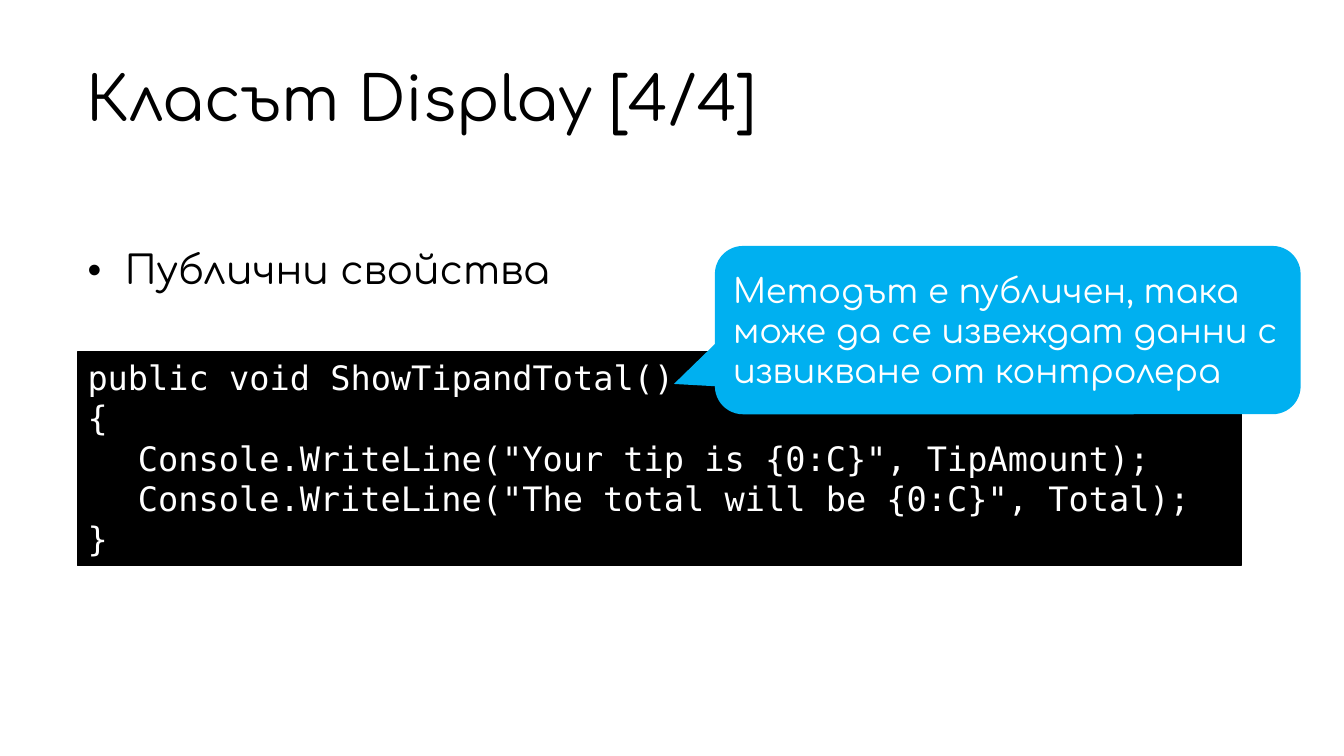
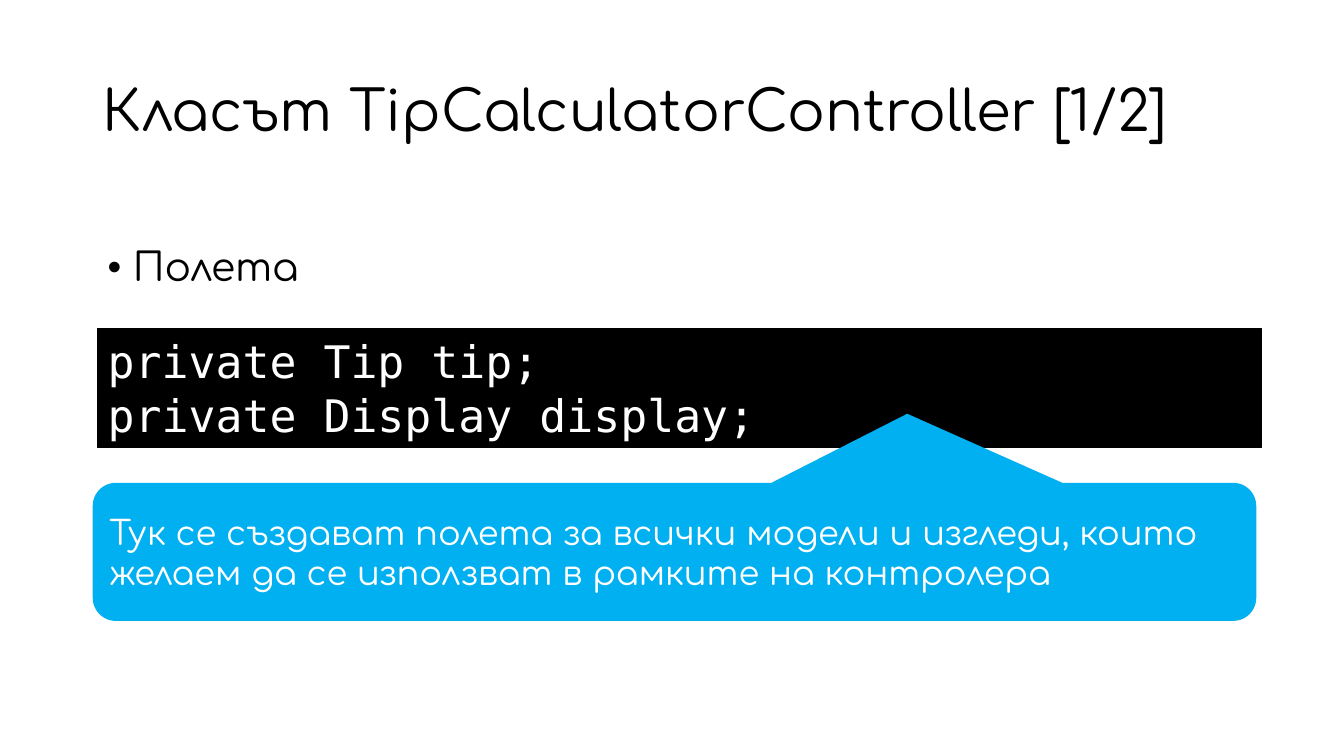
from pptx import Presentation
from pptx.dml.color import RGBColor
from pptx.enum.shapes import MSO_SHAPE
from pptx.enum.text import MSO_ANCHOR, PP_ALIGN
from pptx.oxml.ns import qn
from pptx.util import Inches, Pt
from lxml import etree

BLACK, WHITE, CALLOUT_BLUE = "000000", "FFFFFF", "00B0F0"
TEXT_FONT, CODE_FONT = "Comfortaa", "DejaVu Sans Mono"
CODE_TAB = 0.5


def rgb(value):
    return RGBColor.from_string(value)


def set_font(paragraph, size, color, name=TEXT_FONT):
    font = paragraph.font
    font.name, font.size = name, Pt(size)
    font.color.rgb = rgb(color)


def add_text(slide, text, box, size, anchor):
    frame = slide.shapes.add_textbox(*map(Inches, box)).text_frame
    frame.word_wrap = True
    frame.vertical_anchor = anchor
    paragraph = frame.paragraphs[0]
    paragraph.text = text
    paragraph.line_spacing = 0.9
    return paragraph


def add_title(slide, text, box, size):
    set_font(add_text(slide, text, box, size, MSO_ANCHOR.MIDDLE), size, BLACK)


def add_bullet(slide, text, box, indent):
    size = 28
    paragraph = add_text(slide, text, box, size, MSO_ANCHOR.TOP)
    properties = paragraph._p.get_or_add_pPr()
    properties.set("marL", str(Inches(indent)))
    properties.set("indent", str(-Inches(indent)))
    etree.SubElement(properties, qn("a:buFont")).set("typeface", "Arial")
    etree.SubElement(properties, qn("a:buChar")).set("char", "•")
    set_font(paragraph, size, BLACK)


def add_panel(slide, preset, box, fill, anchor):
    """Add a filled shape without outline or shadow, ready for wrapped text."""
    panel = slide.shapes.add_shape(preset, *map(Inches, box))
    panel.shadow.inherit = False
    panel.fill.solid()
    panel.fill.fore_color.rgb = rgb(fill)
    panel.line.fill.background()
    panel.text_frame.word_wrap = True
    panel.text_frame.vertical_anchor = anchor
    return panel


def add_code(slide, lines, box, size):
    panel = add_panel(slide, MSO_SHAPE.RECTANGLE, box, BLACK, MSO_ANCHOR.TOP)
    panel.line.color.rgb = rgb(BLACK)
    panel.line.width = Pt(1)
    frame = panel.text_frame
    frame.text = "\n".join(lines)
    for paragraph in frame.paragraphs:
        paragraph.alignment = PP_ALIGN.LEFT
        tabs = etree.SubElement(paragraph._p.get_or_add_pPr(), qn("a:tabLst"))
        etree.SubElement(tabs, qn("a:tab"), pos=str(Inches(CODE_TAB)), algn="l")
        set_font(paragraph, size, WHITE, CODE_FONT)


def add_callout(slide, text, box, tip):
    """Add a speech bubble; tip is its point as shares of size from the centre."""
    callout = add_panel(slide, MSO_SHAPE.ROUNDED_RECTANGULAR_CALLOUT, box,
                        CALLOUT_BLUE, MSO_ANCHOR.MIDDLE)
    callout.adjustments[0], callout.adjustments[1] = tip
    paragraph = callout.text_frame.paragraphs[0]
    paragraph.text = text
    paragraph.alignment = PP_ALIGN.LEFT
    set_font(paragraph, 24, WHITE)


def build_display_slide(slide):
    add_title(slide, "Класът Display [4/4]", (0.76, 0.43, 11.68, 1.16), 44)
    add_bullet(slide, "Публични свойства", (0.77, 2.44, 6.3, 0.6), 0.37)
    add_code(slide, [
        "public void ShowTipandTotal()",
        "{",
        '\tConsole.WriteLine("Your tip is {0:C}", TipAmount);',
        '\tConsole.WriteLine("The total will be {0:C}", Total);',
        "}",
    ], (0.77, 3.49, 11.54, 2.12), 24)
    add_callout(slide, "Методът е публичен, така може да се извеждат данни с "
                "извикване от контролера", (7.09, 2.44, 5.81, 1.67), (-0.57, 0.32))


def build_controller_slide(slide):
    add_title(slide, "Класът TipCalculatorController [1/2]",
              (0.92, 0.4, 11.5, 1.45), 40)
    add_bullet(slide, "Полета", (0.97, 2.41, 10.36, 0.6), 0.25)
    add_code(slide, ["private Tip tip;", "private Display display;"],
             (0.97, 3.26, 11.54, 1.18), 32)
    add_callout(slide, "Тук се създават полета за всички модели и изгледи, които "
                "желаем да се използват в рамките на контролера",
                (0.92, 4.79, 11.54, 1.37), (0.2, -1))


def main():
    deck = Presentation()
    deck.slide_width, deck.slide_height = Inches(13.33), Inches(7.5)
    blank = deck.slide_layouts[6]
    for build in (build_display_slide, build_controller_slide):
        build(deck.slides.add_slide(blank))
    deck.save("out.pptx")


if __name__ == "__main__":
    main()
